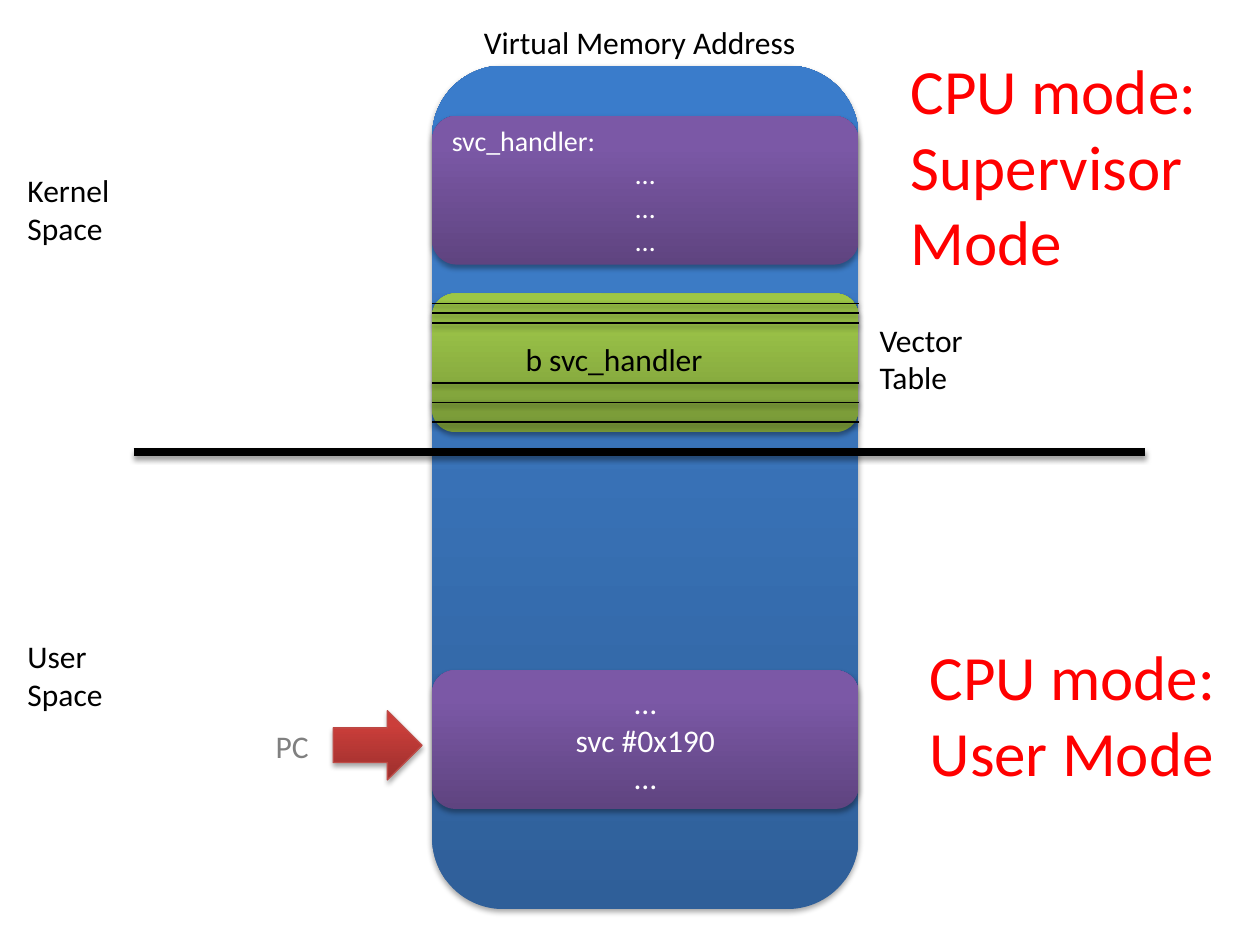
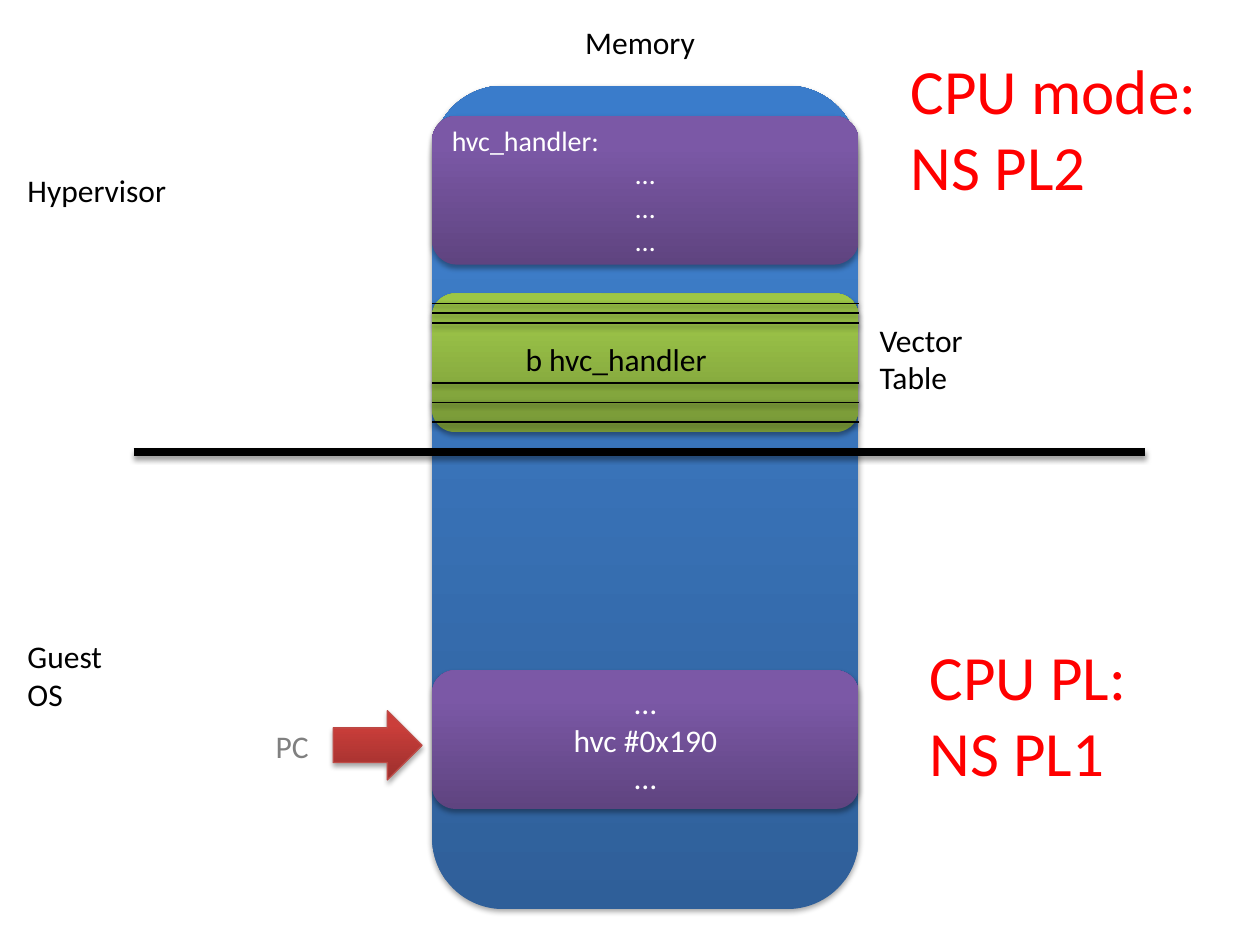
import copy
from dataclasses import dataclass

import lxml.etree
import pptx
import pptx.dml.color
import pptx.enum.shapes
import pptx.enum.text
import pptx.oxml.ns
import pptx.util

RGBColor = pptx.dml.color.RGBColor
SHAPE = pptx.enum.shapes.MSO_SHAPE
ALIGN = pptx.enum.text.PP_ALIGN
ANCHOR = pptx.enum.text.MSO_ANCHOR
qn = pptx.oxml.ns.qn

FONT = "Calibri"
BLACK = RGBColor(0x00, 0x00, 0x00)
WHITE = RGBColor(0xFF, 0xFF, 0xFF)
GREY = RGBColor(0x80, 0x80, 0x80)
RED = RGBColor(0xFF, 0x00, 0x00)
ARROW_EDGE = RGBColor(0xBF, 0x4C, 0x48)

# Gradients run from the bottom edge to the top edge
GRADIENT_POSITIONS = (0, 0.8, 1)
BLUES = (RGBColor(0x2F, 0x5F, 0x99), RGBColor(0x3D, 0x7C, 0xC7), RGBColor(0x3A, 0x7C, 0xCB))
GREENS = (RGBColor(0x77, 0x97, 0x37), RGBColor(0x9B, 0xC3, 0x48), RGBColor(0x9D, 0xC7, 0x46))
PURPLES = (RGBColor(0x5F, 0x44, 0x80), RGBColor(0x7B, 0x58, 0xA6), RGBColor(0x7C, 0x57, 0xA8))
REDS = (RGBColor(0x9C, 0x2F, 0x2D), RGBColor(0xCB, 0x3E, 0x3A), RGBColor(0xCE, 0x3B, 0x37))

# The slide is a grid of 100 columns and 75 rows
CELL = pptx.util.Inches(0.1)
COLUMNS, ROWS = 100, 75
MEMORY_LEFT, MEMORY_WIDTH, MEMORY_BOTTOM = 34.3, 33.85, 72.15
DIVIDER_ROW = 35.9
TABLE_ROWS = 14
TABLE_RULES = (1, 2, 3, 9, 11, 13)


@dataclass
class Box:
    """An area in grid columns and rows."""
    left: float
    top: float
    width: float
    height: float

    def lengths(self):
        return [round(value * CELL) for value in (self.left, self.top, self.width, self.height)]

    def inner(self, left, top, width, height):
        """Return an inner area given as shares of this one."""
        return Box(self.left + left * self.width, self.top + top * self.height,
                   width * self.width, height * self.height)


@dataclass
class ModeSwitch:
    """What differs between the slides."""
    heading: str
    heading_align: ALIGN
    memory_top: float
    upper_space: list
    upper_space_width: float
    lower_space: list
    call: str
    upper_mode: list
    lower_mode: list


def write(shape, lines, size, color, alignments, anchor=ANCHOR.TOP):
    frame = shape.text_frame
    frame.word_wrap = True
    frame.vertical_anchor = anchor
    for index, (line, alignment) in enumerate(zip(lines, alignments)):
        paragraph = frame.paragraphs[0] if index == 0 else frame.add_paragraph()
        paragraph.alignment = alignment
        run = paragraph.add_run()
        run.text = line
        run.font.name = FONT
        run.font.size = pptx.util.Pt(size)
        run.font.color.rgb = color


def add_shadow(shape, opacity, distance):
    properties = shape._element.spPr
    effects = properties.find(qn("a:effectLst"))
    if effects is None:
        effects = lxml.etree.SubElement(properties, qn("a:effectLst"))
    shadow = lxml.etree.SubElement(
        effects, qn("a:outerShdw"), blurRad=str(pptx.util.Pt(3.1)),
        dist=str(pptx.util.Pt(distance)), dir="5400000", rotWithShape="0")
    color = lxml.etree.SubElement(shadow, qn("a:srgbClr"), val=str(BLACK))
    lxml.etree.SubElement(color, qn("a:alpha"), val=str(opacity * 1000))


def add_glossy_shape(shapes, kind, box, colors, edge=None):
    shape = shapes.add_shape(kind, *box.lengths())
    shape.fill.gradient()
    shape.fill.gradient_angle = 90
    stop_list = shape._element.spPr.find(".//" + qn("a:gsLst"))
    stop_list.append(copy.deepcopy(stop_list[0]))
    for stop, position, color in zip(shape.fill.gradient_stops, GRADIENT_POSITIONS, colors):
        stop.position = position
        stop.color.rgb = color
    if edge is None:
        shape.line.fill.background()
    else:
        shape.line.color.rgb = edge
        shape.line.width = pptx.util.Pt(0.75)
    shape.shadow.inherit = False
    add_shadow(shape, 35, 1.8)
    return shape


def add_rule(shapes, left, right, row, weight):
    y = round(row * CELL)
    rule = shapes.add_connector(pptx.enum.shapes.MSO_CONNECTOR.STRAIGHT,
                                round(left * CELL), y, round(right * CELL), y)
    rule.line.color.rgb = BLACK
    rule.line.width = pptx.util.Pt(weight)
    add_shadow(rule, 38, 1.6)


def add_label(shapes, box, lines, size=18, color=BLACK):
    label = shapes.add_textbox(*box.lengths())
    write(label, lines, size, color, [ALIGN.LEFT] * len(lines))


def place_heading(slide, box, text, alignment):
    title = slide.shapes.title
    title.left, title.top, title.width, title.height = box.lengths()
    write(title, [text], 18, BLACK, [alignment])


def add_vector_table(shapes, box, entry):
    add_glossy_shape(shapes, SHAPE.ROUNDED_RECTANGLE, box, GREENS)
    for row in TABLE_RULES:
        add_rule(shapes, box.left, box.left + box.width,
                 box.top + box.height * row / TABLE_ROWS, 1)
    add_label(shapes, box.inner(0.19, 0.29, 0.72, 0.36), [entry])
    # Caption to the right of the table
    add_label(shapes, box.inner(1.02, 0.15, 0.33, 0.64), ["Vector", "Table"])


def add_code(shapes, box, lines, size, alignments):
    block = add_glossy_shape(shapes, SHAPE.ROUNDED_RECTANGLE, box, PURPLES)
    write(block, lines, size, WHITE, alignments, ANCHOR.MIDDLE)


def add_program_counter(shapes, box):
    group = shapes.add_group_shape().shapes
    add_glossy_shape(group, SHAPE.RIGHT_ARROW, box.inner(0.44, 0, 0.56, 1), REDS, ARROW_EDGE)
    add_label(group, box.inner(0, 0.15, 0.37, 0.73), ["PC"], color=GREY)


def add_mode_switch_slide(presentation, content):
    slide = presentation.slides.add_slide(presentation.slide_layouts[5])
    shapes = slide.shapes
    place_heading(slide, Box(37.4, 1.3, 26.8, 4), content.heading, content.heading_align)

    # Memory column and the border between the two spaces
    memory = Box(MEMORY_LEFT, content.memory_top, MEMORY_WIDTH,
                 MEMORY_BOTTOM - content.memory_top)
    add_glossy_shape(shapes, SHAPE.ROUNDED_RECTANGLE, memory, BLUES)
    add_rule(shapes, 10.6, 90.9, DIVIDER_ROW, 4.5)

    # Names of the spaces
    add_label(shapes, Box(1.2, 13.1, content.upper_space_width, 7.1), content.upper_space)
    add_label(shapes, Box(1.2, 50.1, 11, 7.1), content.lower_space)

    # Contents of the memory
    handler = f"{content.call}_handler"
    add_vector_table(shapes, Box(MEMORY_LEFT, 23.3, MEMORY_WIDTH, 11), f"b {handler}")
    add_code(shapes, Box(MEMORY_LEFT, 53.2, MEMORY_WIDTH, 11),
             ["…", f"{content.call} #0x190", "…"], 18, [ALIGN.CENTER] * 3)
    add_code(shapes, Box(MEMORY_LEFT, 9.2, MEMORY_WIDTH, 11.8),
             [f"{handler}:"] + ["…"] * 3, 16, [ALIGN.LEFT] + [ALIGN.CENTER] * 3)
    add_program_counter(shapes, Box(20.9, 56.4, 12.6, 5.5))

    # Processor modes
    add_label(shapes, Box(72.8, 50.1, 25.2, 13.1), content.lower_mode, 36, RED)
    add_label(shapes, Box(71.3, 3.6, 26.8, 19.2), content.upper_mode, 36, RED)


def main():
    presentation = pptx.Presentation()
    presentation.slide_width = COLUMNS * CELL
    presentation.slide_height = ROWS * CELL
    add_mode_switch_slide(presentation, ModeSwitch(
        heading="Virtual Memory Address", heading_align=ALIGN.LEFT, memory_top=5.2,
        upper_space=["Kernel", "Space"], upper_space_width=11,
        lower_space=["User", "Space"], call="svc",
        upper_mode=["CPU mode:", "Supervisor Mode"],
        lower_mode=["CPU mode:", "User Mode"]))
    add_mode_switch_slide(presentation, ModeSwitch(
        heading="Memory", heading_align=ALIGN.CENTER, memory_top=6.8,
        upper_space=["Hypervisor"], upper_space_width=13.4,
        lower_space=["Guest OS"], call="hvc",
        upper_mode=["CPU mode:", "NS PL2"],
        lower_mode=["CPU PL:", "NS PL1"]))
    presentation.save("out.pptx")


if __name__ == "__main__":
    main()
